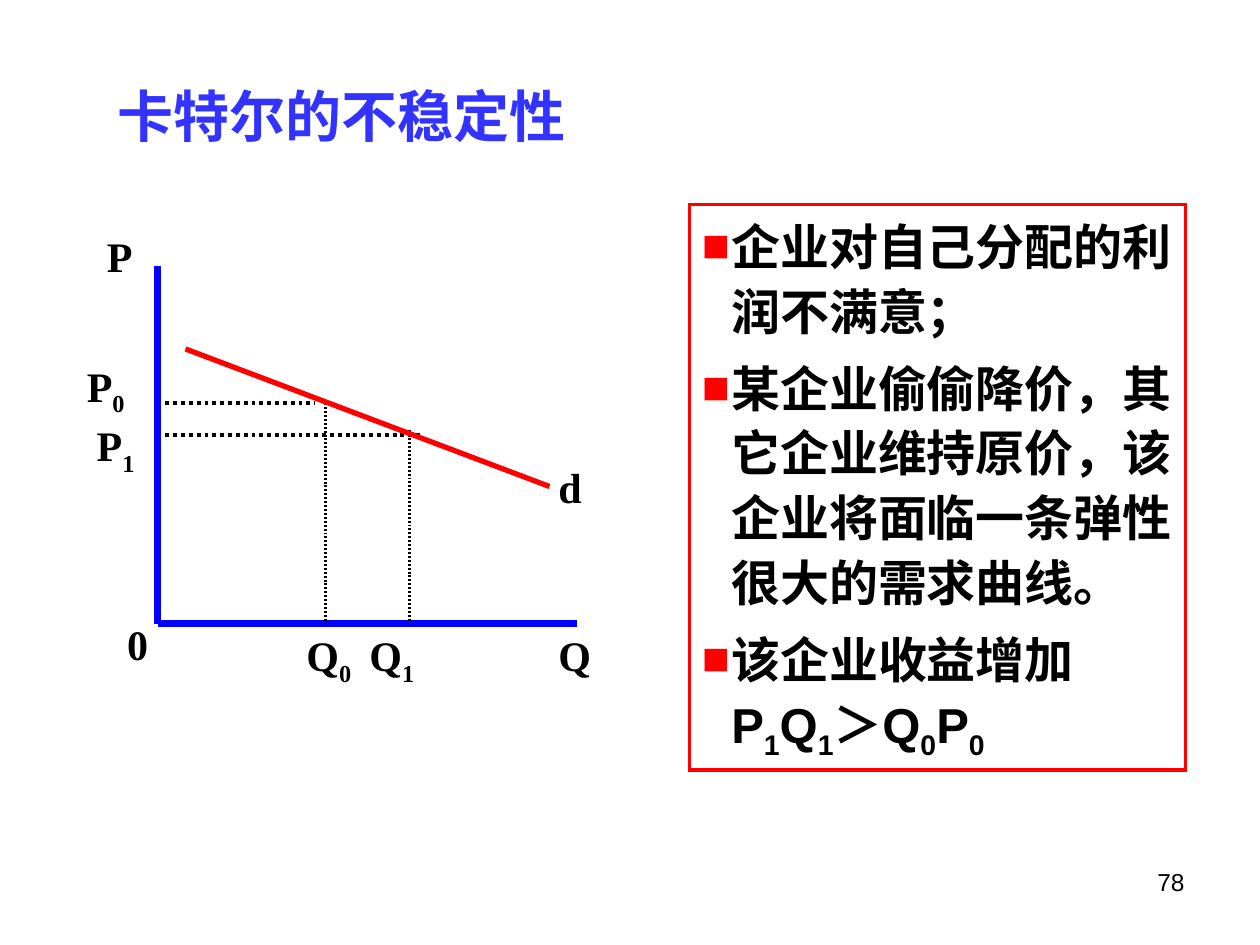
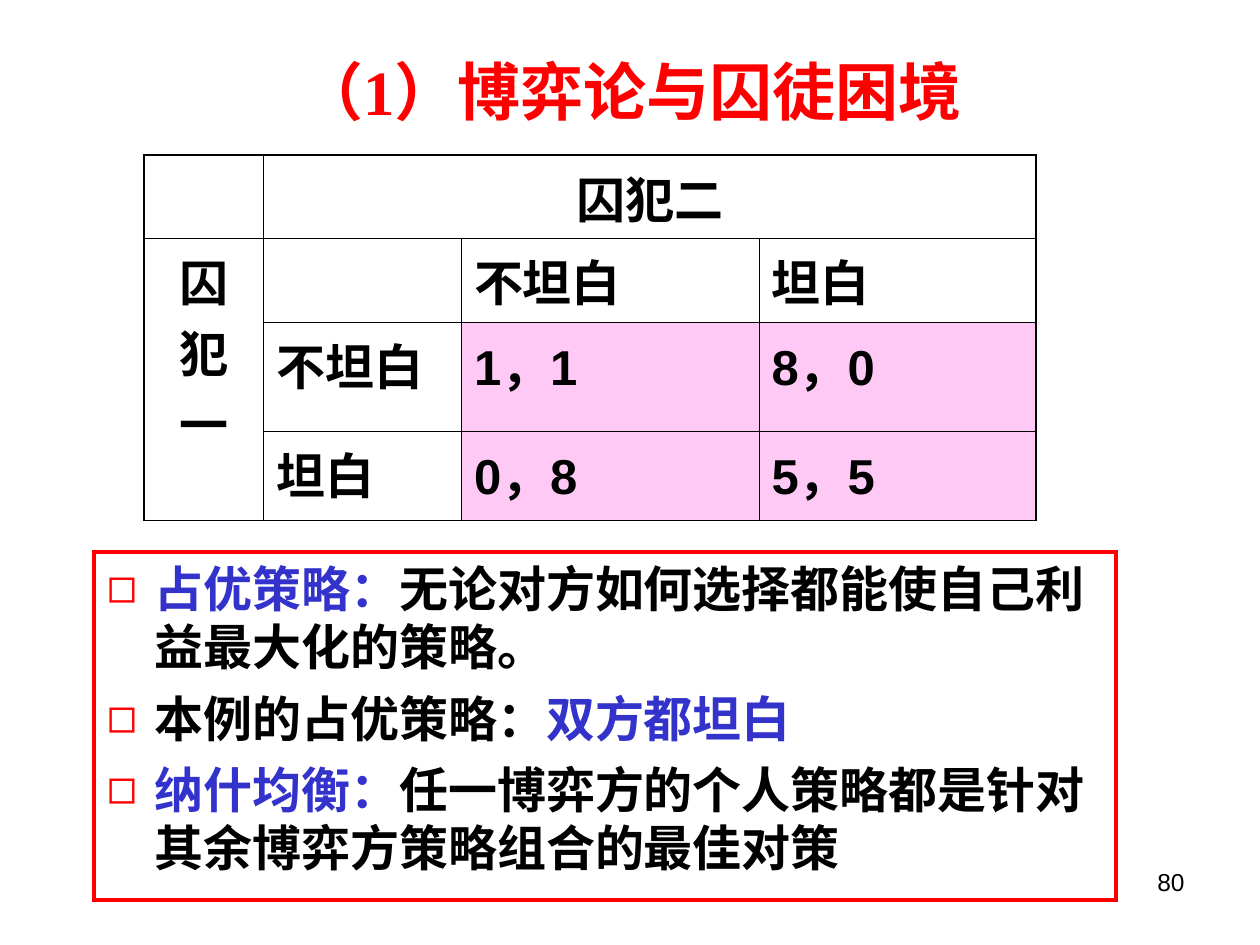
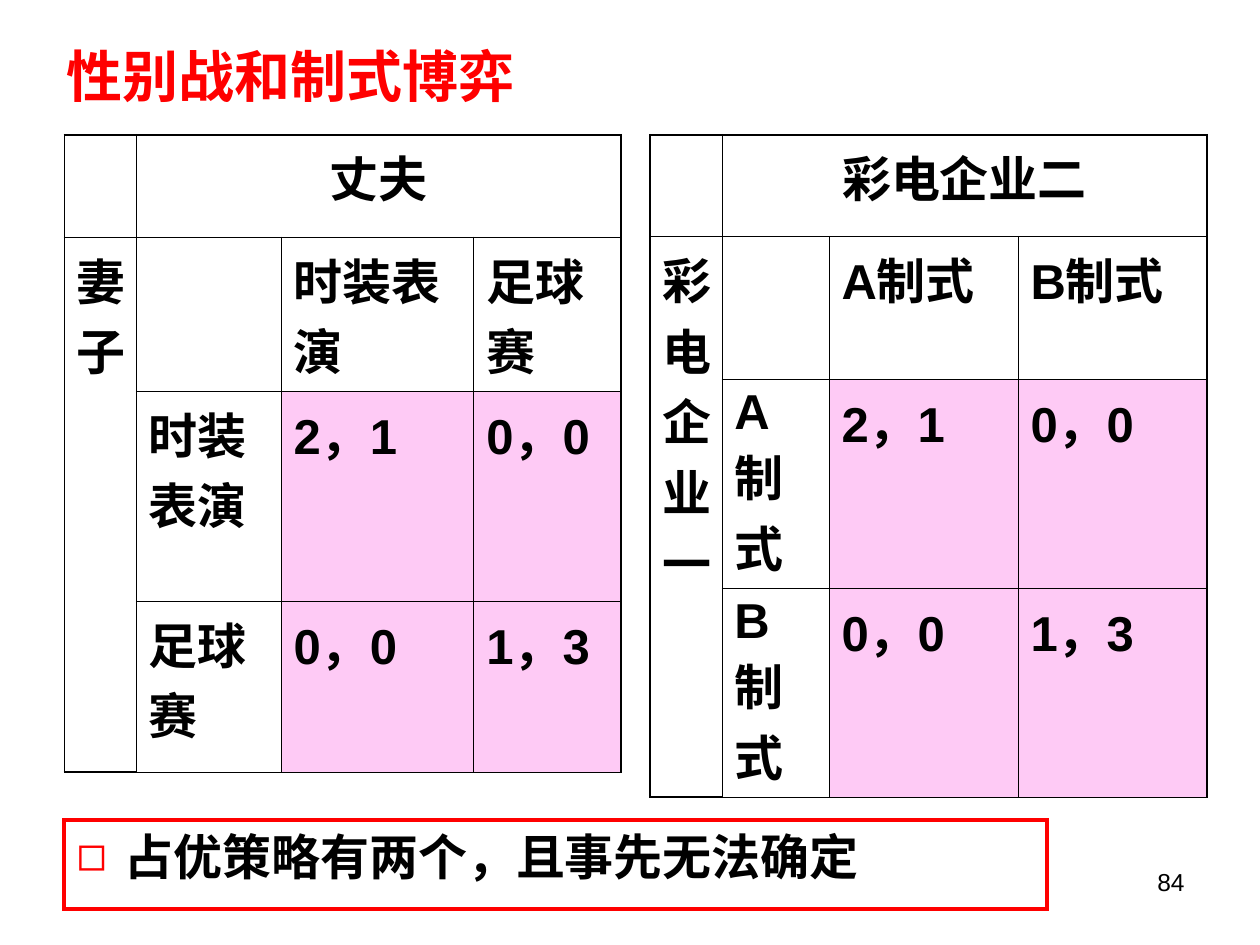
from dataclasses import dataclass

import pptx
import pptx.dml.color
import pptx.enum.dml
import pptx.enum.shapes
import pptx.enum.text
import pptx.oxml
import pptx.oxml.ns
import pptx.util

Pt = pptx.util.Pt
ALIGN = pptx.enum.text.PP_ALIGN
ANCHOR = pptx.enum.text.MSO_ANCHOR
DASH = pptx.enum.dml.MSO_LINE


@dataclass(frozen=True)
class Theme:
    black: str = "000000"
    white: str = "FFFFFF"
    red: str = "FF0000"
    title_blue: str = "3333FF"
    term_blue: str = "3333CC"
    axis_blue: str = "0000FF"
    payoff_pink: str = "FECAF5"
    body_font: str = "Arial"
    serif_font: str = "Times New Roman"
    title_size: int = 32
    large_title_size: int = 36
    body_size: int = 28
    label_size: int = 24
    number_size: int = 14
    thin_border: float = 0.45
    thick_border: float = 1.08


T = Theme()
BODY = dict(name=T.body_font, size=T.body_size, color=T.black, bold=True)
LABEL = dict(name=T.serif_font, size=T.label_size, color=T.black, bold=True)
TITLE = dict(name=T.serif_font, size=T.title_size, color=T.red, bold=True)
NUMBER = dict(name=T.body_font, size=T.number_size, color=T.black, bold=False)
TERM = dict(color=T.term_blue)
SUB = dict(baseline="-25000")


def rgb(value):
    return pptx.dml.color.RGBColor.from_string(value)


def add_xml(parent, tag, **attrs):
    child = pptx.oxml.parse_xml(f"<a:{tag} {pptx.oxml.ns.nsdecls('a')}/>")
    for key, value in attrs.items():
        child.set(key, str(value))
    parent.append(child)
    return child


def add_run(p, text, style):
    r = p.add_run()
    r.text = text
    for key, value in style.items():
        if key == "color":
            r.font.color.rgb = rgb(value)
        elif key == "baseline":
            r._r.get_or_add_rPr().set(key, value)
        else:
            setattr(r.font, key, Pt(value) if key == "size" else value)


def write(p, runs, style):
    """Write runs, each a string or a (text, style changes) pair."""
    for run in [runs] if isinstance(runs, str) else runs:
        text, change = (run, {}) if isinstance(run, str) else run
        add_run(p, text, {**style, **change})


def add_text(s, box, runs, style, align=ALIGN.LEFT, anchor=ANCHOR.TOP):
    tf = s.shapes.add_textbox(*map(Pt, box)).text_frame
    tf.word_wrap = True
    tf.vertical_anchor = anchor
    tf.paragraphs[0].alignment = align
    write(tf.paragraphs[0], runs, style)


def add_title(s, box, text, align=ALIGN.CENTER, **change):
    add_text(s, box, text, {**TITLE, **change}, align, ANCHOR.MIDDLE)


def add_bullet(p, char, indent, percent):
    pPr = p._p.get_or_add_pPr()
    pPr.set("marL", str(Pt(indent)))
    pPr.set("indent", str(-Pt(indent)))
    add_xml(add_xml(pPr, "buClr"), "srgbClr", val=T.red)
    add_xml(pPr, "buSzPct", val=percent * 1000)
    add_xml(pPr, "buFont", typeface=T.body_font)
    add_xml(pPr, "buChar", char=char)


def add_panel(s, box, items, char="◻", indent=27.36, percent=100,
              spacing=None, fill=None, line=2.25):
    """Red-framed box with a bulleted list."""
    sp = s.shapes.add_shape(pptx.enum.shapes.MSO_SHAPE.RECTANGLE, *map(Pt, box))
    sp.shadow.inherit = False
    sp.line.color.rgb = rgb(T.red)
    sp.line.width = Pt(line)
    add_xml(sp.line._get_or_add_ln(), "miter", lim=800000)
    if fill:
        sp.fill.solid()
        sp.fill.fore_color.rgb = rgb(fill)
    else:
        sp.fill.background()
    tf = sp.text_frame
    tf.word_wrap = True
    tf.vertical_anchor = ANCHOR.TOP
    for i, runs in enumerate(items):
        p = tf.add_paragraph() if i else tf.paragraphs[0]
        p.alignment = ALIGN.LEFT
        if spacing:
            p.line_spacing = spacing
        if i:
            p.space_before = Pt(7)
        add_bullet(p, char, indent, percent)
        write(p, runs, BODY)


def add_line(group, start, end, color, width, dash=None):
    c = group.shapes.add_connector(
        pptx.enum.shapes.MSO_CONNECTOR.STRAIGHT, *map(Pt, (*start, *end)))
    c.line.color.rgb = rgb(color)
    c.line.width = Pt(width)
    if dash == "dense":
        dashes = add_xml(c.line._get_or_add_ln(), "custDash")
        add_xml(dashes, "ds", d=50000, sp=50000)
    elif dash:
        c.line.dash_style = dash
    add_xml(c._element.spPr, "effectLst")


def set_borders(cell, thick_sides):
    tcPr = cell._tc.get_or_add_tcPr()
    for side in "LRTB":
        width = T.thick_border if side in thick_sides else T.thin_border
        ln = add_xml(tcPr, f"ln{side}", w=Pt(width))
        add_xml(add_xml(ln, "solidFill"), "srgbClr", val=T.black)


def add_payoff_table(s, left, top, widths, heights, players, moves, payoffs):
    """Two-player game: row player at the left, column player on top."""
    row_player, column_player = players
    rows = [["", column_player, "", ""],
            [row_player, "", *moves],
            *(["", move, *pair] for move, pair in zip(moves, payoffs))]
    n = len(rows)
    table = s.shapes.add_table(n, n, Pt(left), Pt(top),
                               Pt(sum(widths)), Pt(sum(heights))).table
    table.first_row = table.horz_banding = False
    for column, width in zip(table.columns, widths):
        column.width = Pt(width)
    for row, height in zip(table.rows, heights):
        row.height = Pt(height)
    table.cell(0, 1).merge(table.cell(0, n - 1))
    table.cell(1, 0).merge(table.cell(n - 1, 0))
    for i, row in enumerate(rows):
        for j, text in enumerate(row):
            cell = table.cell(i, j)
            edges = {"L": j == 0, "T": i == 0,
                     "R": j + cell.span_width == n,
                     "B": j == 0 and i + cell.span_height == n}
            set_borders(cell, [side for side, outer in edges.items() if outer])
            if i > 1 and j > 1:
                cell.fill.solid()
                cell.fill.fore_color.rgb = rgb(T.payoff_pink)
            else:
                cell.fill.background()
            if text:
                p = cell.text_frame.paragraphs[0]
                p.alignment = ALIGN.CENTER if text in players else ALIGN.LEFT
                write(p, text, BODY)


def add_demand_graph(s):
    left, right, top, base = 90, 330, 152, 356.4
    group = s.shapes.add_group_shape()
    add_line(group, (left, base), (right, base), T.axis_blue, 4)
    for price, end in ((248.4, 240), (230.4, 180)):
        add_line(group, (left, price), (end, price), T.black, 2.25, DASH.ROUND_DOT)
    for quantity, start in ((186, 230.4), (234, 246)):
        add_line(group, (quantity, start), (quantity, base), T.black, 2.25, "dense")
    add_line(group, (106, 199.4), (314, 278), T.red, 3)
    add_line(group, (left, top), (left, base), T.axis_blue, 4)
    for x, y, letter, index in ((42.5, 202.3, "P", "0"), (48.2, 236.2, "P", "1"),
                                (54, 128.2, "P", ""), (168, 356.4, "Q", "0"),
                                (204, 356.4, "Q", "1"), (312, 356.4, "Q", ""),
                                (65.5, 350, "0", ""), (312, 260, "d", "")):
        runs = [letter, (index, SUB)] if index else letter
        add_text(s, (x, y, 48, 40), runs, LABEL)


def new_slide(prs, number):
    s = prs.slides.add_slide(prs.slide_layouts[6])
    add_text(s, (516, 492, 168, 37.5), number, NUMBER, ALIGN.RIGHT)
    return s


def cartel_slide(prs):
    s = new_slide(prs, "78")
    add_title(s, (14.4, 26, 368.6, 79), "卡特尔的不稳定性 ", color=T.title_blue)
    add_demand_graph(s)
    add_panel(s, (394, 116.8, 283.6, 323.2), [
        "企业对自己分配的利润不满意；",
        "某企业偷偷降价，其它企业维持原价，该企业将面临一条弹性很大的需求曲线。",
        ["该企业收益增加P", ("1", SUB), "Q", ("1", SUB),
         "＞Q", ("0", SUB), "P", ("0", SUB)],
    ], char="■", indent=16.8, percent=95, spacing=1.1, fill=T.white, line=2)


def prisoners_slide(prs):
    s = new_slide(prs, "80")
    add_title(s, (36.7, 26, 648, 51), "（1）博弈论与囚徒困境",
              size=T.large_title_size)
    add_panel(s, (54, 315.4, 584, 198.7), [
        [("占优策略：", TERM), "无论对方如何选择都能使自己利益最大化的策略。"],
        ["本例的占优策略：", ("双方都坦白", TERM)],
        [("纳什均衡：", TERM),
         "任一博弈方的个人策略都是针对其余博弈方策略组合的最佳对策"],
    ])
    add_payoff_table(s, 82.3, 88.6, (68.4, 113, 170, 158.4), (47.8, 47.8, 62.4, 50.8),
                     ("囚犯一", "囚犯二"), ("不坦白", "坦白"),
                     (("1，1", "8，0"), ("0，8", "5，5")))


def coordination_slide(prs):
    s = new_slide(prs, "84")
    add_title(s, (31, 15, 648, 55.4), "性别战和制式博弈", ALIGN.LEFT)
    payoffs = (("2，1", "0，0"), ("0，0", "1，3"))
    add_payoff_table(s, 36.8, 77, (41, 82.8, 110.2, 84.2), (58.5, 88, 120, 97.7),
                     ("妻子", "丈夫"), ("时装表演", "足球赛"), payoffs)
    add_panel(s, (36.8, 468.6, 561.6, 51), ["占优策略有两个，且事先无法确定"])
    add_payoff_table(s, 371.5, 77, (41, 61.2, 108, 108), (58, 81.7, 119.4, 119.4),
                     ("彩电企业一", "彩电企业二"), ("A制式", "B制式"), payoffs)


def main():
    prs = pptx.Presentation()
    prs.slide_width, prs.slide_height = Pt(720), Pt(540)
    for build in (cartel_slide, prisoners_slide, coordination_slide):
        build(prs)
    prs.save("out.pptx")


if __name__ == "__main__":
    main()
